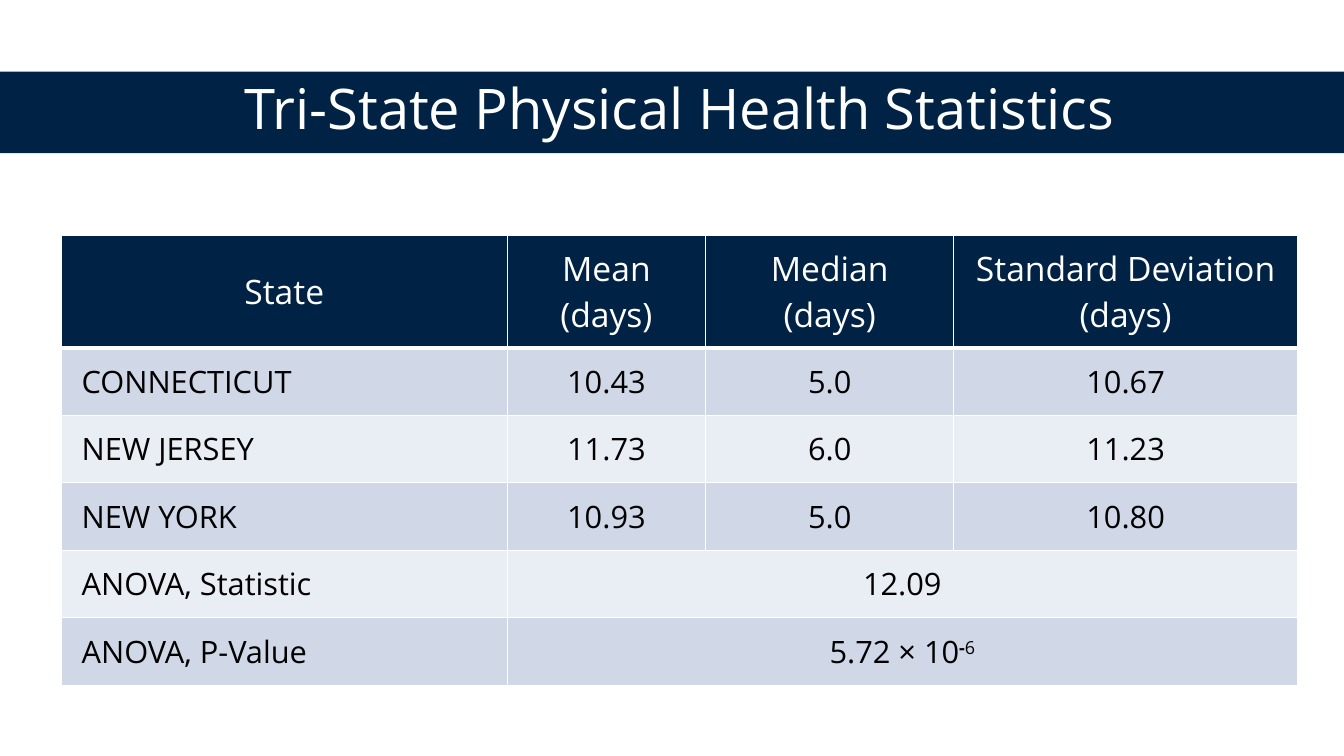
from lxml import etree
from pptx import Presentation
from pptx.dml.color import RGBColor
from pptx.enum import shapes, text
from pptx.oxml.ns import qn
from pptx.util import Inches, Pt

TITLE = "Tri-State Physical Health Statistics"
HEAD = ["State", "Mean (days)", "Median (days)", "Standard Deviation\n(days)"]
ROWS = [
    ["CONNECTICUT", "10.43", "5.0", "10.67"],
    ["NEW JERSEY", "11.73", "6.0", "11.23"],
    ["NEW YORK", "10.93", "5.0", "10.80"],
    ["ANOVA, Statistic", "12.09"],
    ["ANOVA, P-Value", "5.72 × 10"],
]
POWER = [("-", True), ("6", False)]  # raised text and whether it is bold
WIDTHS = [4.42, 1.97, 2.46, 3.41]
LEFT, TOP, HEAD_H, ROW_H = 0.61, 2.34, 1.11, 0.67
FONT = "Open Sans"
COLORS = {"navy": "002244", "white": "FFFFFF", "black": "000000",
          "odd": "D0D8E8", "even": "E9EDF4"}


def color(name):
    return RGBColor.from_string(COLORS[name])


def style(run, size, tint):
    run.font.name = FONT
    run.font.size = Pt(size)
    run.font.color.rgb = color(tint)


def write(frame, words, size, tint, align):
    frame.text = words
    frame.word_wrap = True
    for para in frame.paragraphs:
        para.alignment = align
        for run in para.runs:
            style(run, size, tint)


def border(cell, low):
    """Draw white cell edges; low is the bottom width in points."""
    props = cell._tc.get_or_add_tcPr()
    edges = [("lnL", 1), ("lnR", 1), ("lnT", 1), ("lnB", low)]
    for spot, (tag, width) in enumerate(edges):
        line = etree.Element(qn("a:" + tag), w=str(Pt(width)))
        fill = etree.SubElement(line, qn("a:solidFill"))
        etree.SubElement(fill, qn("a:srgbClr"), val=COLORS["white"])
        props.insert(spot, line)


def add_title(slide):
    band = slide.shapes.add_shape(shapes.MSO_SHAPE.RECTANGLE, 0, Inches(0.71),
                                  Inches(13.33), Inches(0.81))
    band.shadow.inherit = False
    band.fill.solid()
    band.fill.fore_color.rgb = color("navy")
    band.line.fill.background()
    box = slide.shapes.add_textbox(Inches(LEFT), Inches(0.7),
                                   Inches(sum(WIDTHS)), Inches(0.81))
    frame = box.text_frame
    write(frame, TITLE, 40, "white", text.PP_ALIGN.CENTER)
    frame.vertical_anchor = text.MSO_ANCHOR.MIDDLE
    frame.paragraphs[0].line_spacing = 0.9


def add_stats(slide):
    data = [HEAD] + ROWS
    heights = [HEAD_H] + [ROW_H] * len(ROWS)
    table = slide.shapes.add_table(
        len(data), len(WIDTHS), Inches(LEFT), Inches(TOP),
        Inches(sum(WIDTHS)), Inches(sum(heights))).table
    for col, width in zip(table.columns, WIDTHS):
        col.width = Inches(width)
    for r, values in enumerate(data):
        table.rows[r].height = Inches(heights[r])
        if len(values) < len(WIDTHS):
            table.cell(r, 1).merge(table.cell(r, len(WIDTHS) - 1))
        fill = "navy" if r == 0 else "odd" if r % 2 else "even"
        size, tint = (22, "black") if r else (24, "white")
        for c in range(len(WIDTHS)):
            cell = table.cell(r, c)
            cell.fill.solid()
            cell.fill.fore_color.rgb = color(fill)
            border(cell, 1 if r else 3)
            cell.vertical_anchor = text.MSO_ANCHOR.MIDDLE
            cell.margin_left = cell.margin_right = Inches(0.2)
            cell.margin_top = cell.margin_bottom = Inches(0.1)
            if c < len(values):
                side = text.PP_ALIGN.LEFT if r and c == 0 else text.PP_ALIGN.CENTER
                write(cell.text_frame, values[c], size, tint, side)
    para = table.cell(len(ROWS), 1).text_frame.paragraphs[0]
    for sign, bold in POWER:
        run = para.add_run()
        run.text = sign
        style(run, 22, "black")
        run.font.bold = bold
        run._r.get_or_add_rPr().set("baseline", "30000")


def main():
    deck = Presentation()
    deck.slide_width, deck.slide_height = Inches(13.33), Inches(7.5)
    slide = deck.slides.add_slide(deck.slide_layouts[6])
    add_title(slide)
    add_stats(slide)
    deck.save("out.pptx")


if __name__ == "__main__":
    main()
